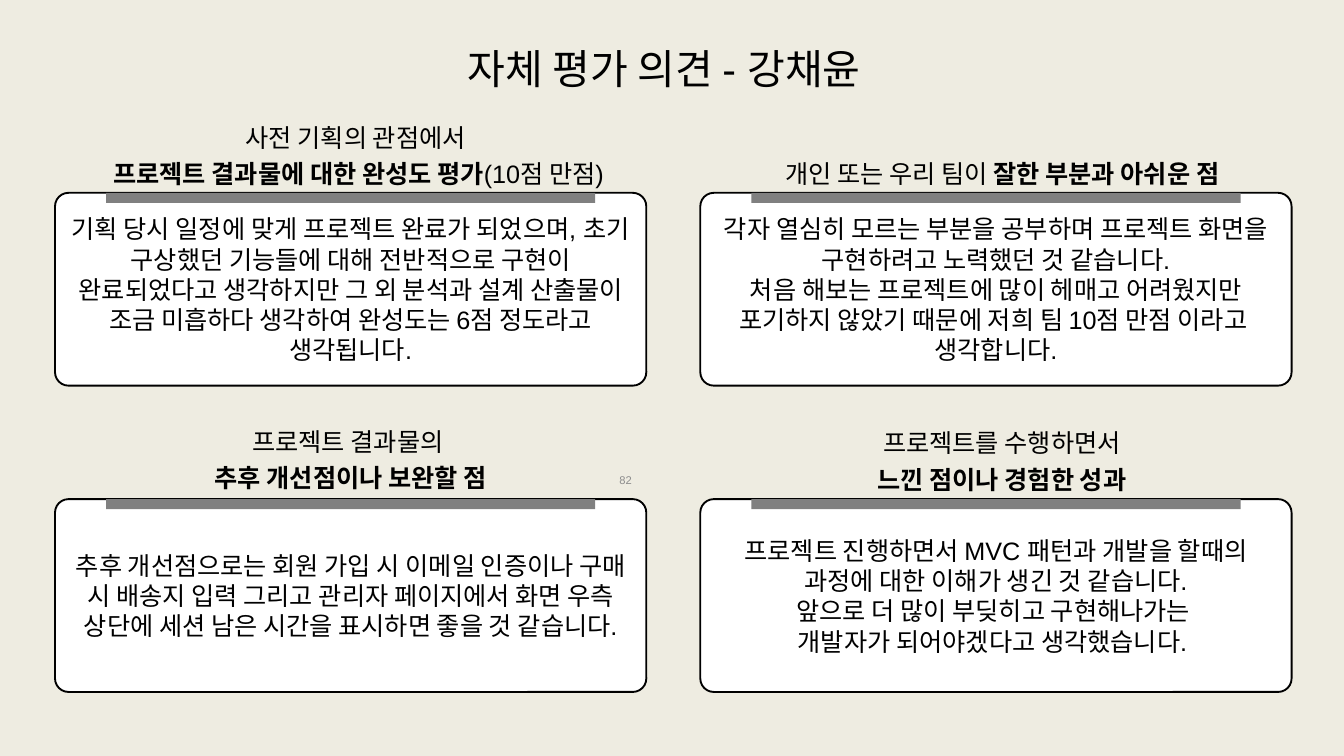
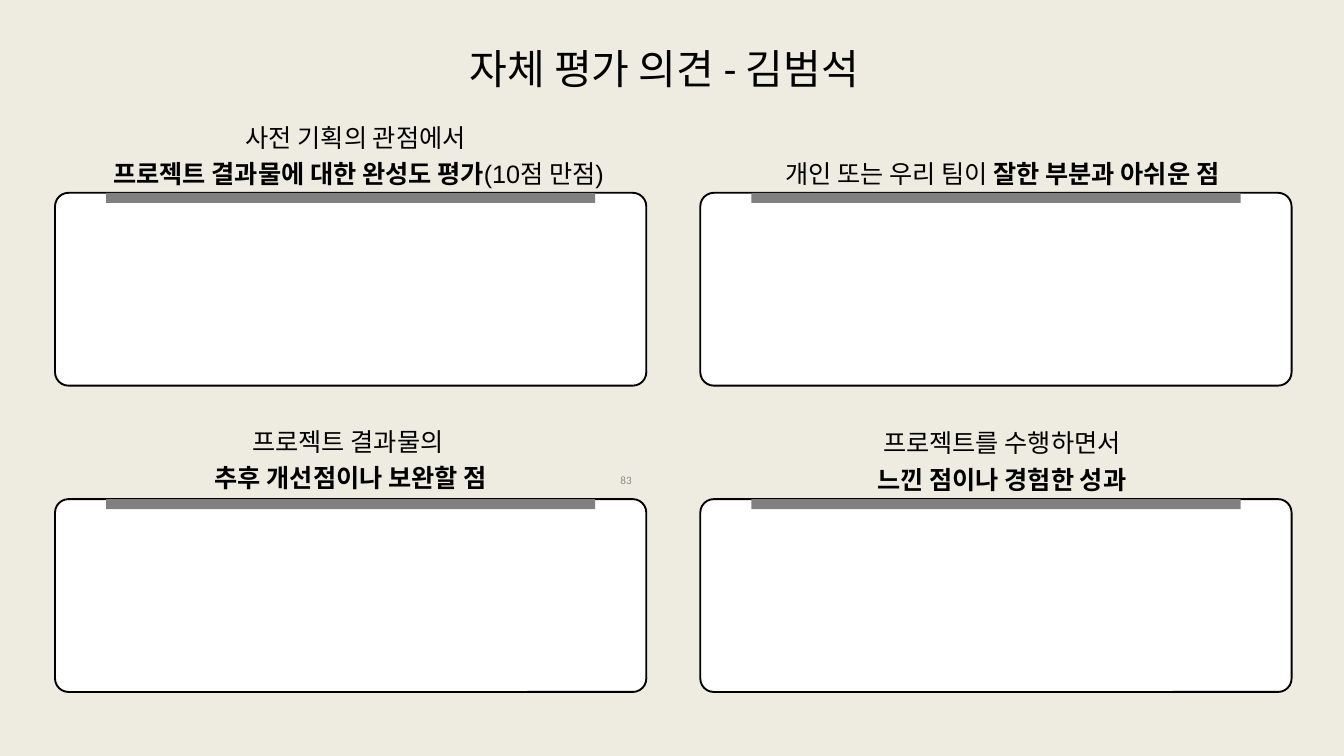
from pptx import Presentation
from pptx.dml.color import RGBColor
from pptx.enum.shapes import MSO_SHAPE as Shape
from pptx.enum.text import MSO_ANCHOR as Anchor, MSO_AUTO_SIZE as Fit, PP_ALIGN as Align
from pptx.util import Cm, Pt

COLORS = {
    "page": "EEECE1",
    "card": "FFFFFF",
    "bar": "808080",
    "ink": "000000",
    "number": "8C8C8C",
}
LEFTS = (2.08, 26.47)
TOPS = (7.29, 18.87)
CARD_W, CARD_H = 22.35, 7.29
BAR_W, BAR_H = 18.49, 0.38

HEADS = [
    ((3.02, 4.27, 21.06, 2.9), 1.2, [
        [("사전 기획의 관점에서 ", False)],
        [("프로젝트 결과물에 대한 완성도 평가", True), ("(10점 만점)", False)],
    ]),
    ((27.48, 5.74, 20.8, 1.42), 1.1, [
        [("개인 또는 우리 팀이 ", False), ("잘한 부분과 아쉬운 점", True)],
    ]),
    ((3.63, 15.77, 19.25, 2.9), 1.2, [
        [("프로젝트 결과물의 ", False)],
        [("추후 개선점이나 보완할 점", True)],
    ]),
    ((28.24, 15.82, 19.25, 2.9), 1.2, [
        [("프로젝트를 수행하면서", False)],
        [("느낀 점이나 경험한 성과", True)],
    ]),
]

OPINIONS = [
    "기획 당시 일정에 맞게 프로젝트 완료가 되었으며, 초기 구상했던 기능들에 대해 "
    "전반적으로 구현이 완료되었다고 생각하지만 그 외 분석과 설계 산출물이 조금 "
    "미흡하다 생각하여 완성도는 6점 정도라고 생각됩니다.",
    "각자 열심히 모르는 부분을 공부하며 프로젝트 화면을 구현하려고 노력했던 것 같습니다.\n"
    "처음 해보는 프로젝트에 많이 헤매고 어려웠지만\n"
    "포기하지 않았기 때문에 저희 팀 10점 만점 이라고 \n"
    "생각합니다.",
    "추후 개선점으로는 회원 가입 시 이메일 인증이나 구매 시 배송지 입력 그리고 "
    "관리자 페이지에서 화면 우측 상단에 세션 남은 시간을 표시하면 좋을 것 같습니다.",
    "프로젝트 진행하면서 MVC 패턴과 개발을 할때의 과정에 대한 이해가 생긴 것 같습니다.\n"
    "앞으로 더 많이 부딪히고 구현해나가는 \n"
    "개발자가 되어야겠다고 생각했습니다. ",
]

PAGES = [
    ("강채윤", "82", "Arial", OPINIONS),
    ("김범석", "83", "Calibri", [""] * len(HEADS)),
]


def tint(name):
    return RGBColor.from_string(COLORS[name])


def style(frame, size, face="Arial", color="ink", align=Align.CENTER):
    frame.word_wrap = True
    for para in frame.paragraphs:
        para.alignment = align
        for run in para.runs:
            run.font.size = Pt(size)
            run.font.name = face
            run.font.color.rgb = tint(color)


def add_title(slide, name, face):
    title = slide.shapes.title
    title.left, title.top, title.width, title.height = map(Cm, (1.73, 1.5, 46.76, 2.16))
    frame = title.text_frame
    frame.text = f"자체 평가 의견 - {name}"
    frame.vertical_anchor = Anchor.MIDDLE
    style(frame, 44, face)


def add_number(slide, number, face):
    box = slide.shapes.add_textbox(*map(Cm, (18.21, 17.65, 5.92, 1.02)))
    frame = box.text_frame
    frame.text = number
    frame.vertical_anchor = Anchor.MIDDLE
    style(frame, 12, face, "number", Align.RIGHT)


def add_block(slide, kind, place, fill):
    block = slide.shapes.add_shape(kind, *map(Cm, place))
    block.shadow.inherit = False
    block.fill.solid()
    block.fill.fore_color.rgb = tint(fill)
    block.line.fill.background()
    return block


def add_card(slide, left, top, text):
    card = add_block(slide, Shape.ROUNDED_RECTANGLE, (left, top, CARD_W, CARD_H), "card")
    card.adjustments[0] = 0.07
    card.line.color.rgb = tint("ink")
    card.line.width = Pt(2)
    if text:
        card.text_frame.text = text
        card.text_frame.vertical_anchor = Anchor.MIDDLE
        style(card.text_frame, 27)
    inset = (CARD_W - BAR_W) / 2
    add_block(slide, Shape.RECTANGLE, (left + inset, top, BAR_W, BAR_H), "bar")


def add_head(slide, place, spacing, lines):
    frame = slide.shapes.add_textbox(*map(Cm, place)).text_frame
    for i, line in enumerate(lines):
        para = frame.add_paragraph() if i else frame.paragraphs[0]
        para.line_spacing = spacing
        for text, bold in line:
            run = para.add_run()
            run.text = text
            run.font.bold = bold
    style(frame, 27)
    frame.auto_size = Fit.SHAPE_TO_FIT_TEXT


def main():
    prs = Presentation()
    prs.slide_width, prs.slide_height = Cm(50.8), Cm(28.58)
    back = prs.slide_master.background.fill
    back.solid()
    back.fore_color.rgb = tint("page")
    spots = [(left, top) for top in TOPS for left in LEFTS]
    for name, number, face, texts in PAGES:
        slide = prs.slides.add_slide(prs.slide_layouts[5])
        add_title(slide, name, face)
        add_number(slide, number, face)
        for (left, top), text, head in zip(spots, texts, HEADS):
            add_card(slide, left, top, text)
            add_head(slide, *head)
    prs.save("out.pptx")


if __name__ == "__main__":
    main()
